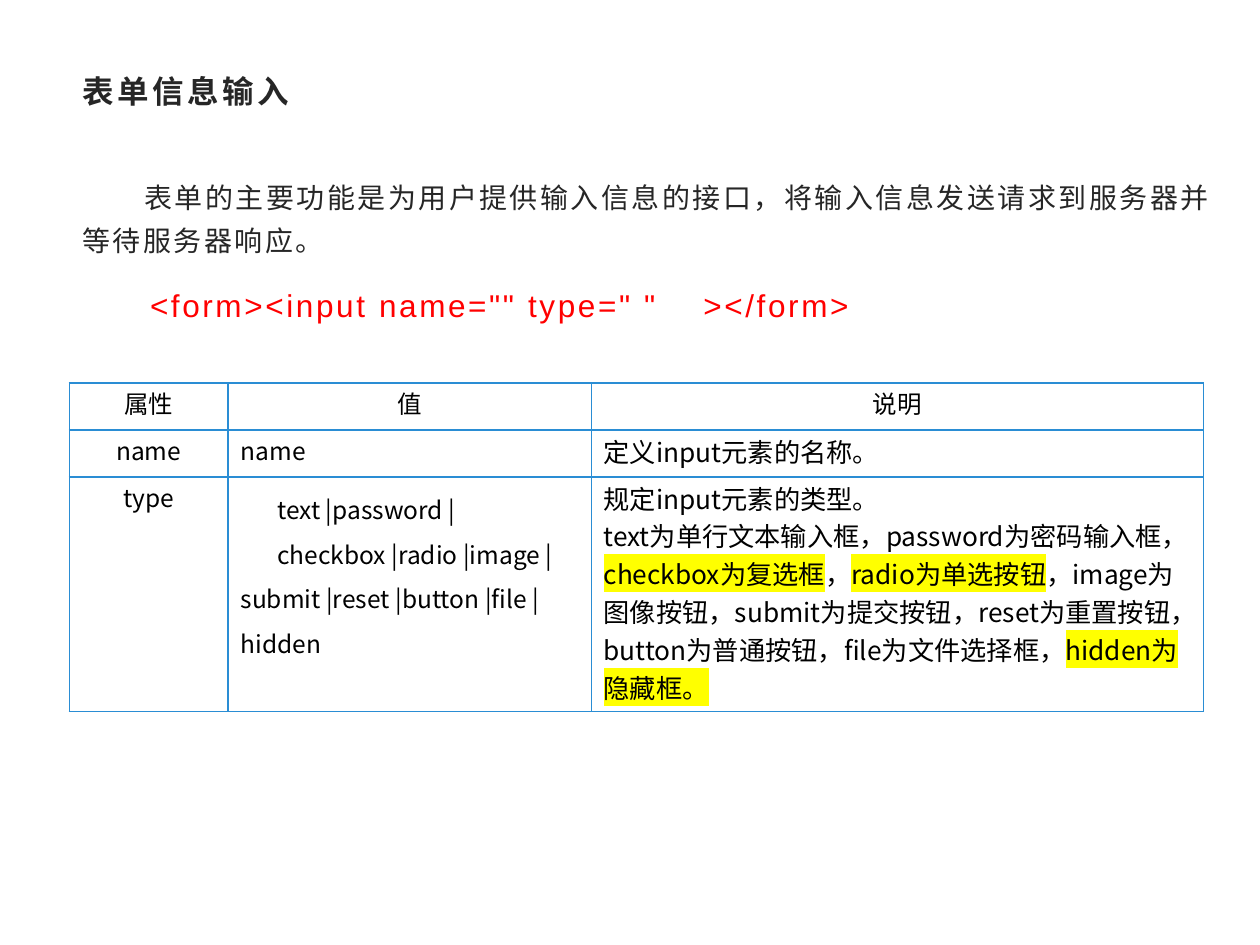
from lxml.etree import SubElement
from pptx import Presentation
from pptx.dml.color import RGBColor
from pptx.enum.text import MSO_ANCHOR, MSO_AUTO_SIZE, PP_ALIGN
from pptx.oxml.ns import qn
from pptx.util import Cm, Pt

BLACK = RGBColor(0x00, 0x00, 0x00)
CHARCOAL = RGBColor(0x26, 0x26, 0x26)
RED = RGBColor(0xFF, 0x00, 0x00)
BLUE = RGBColor(0x2A, 0x8D, 0xD4)
YELLOW = RGBColor(0xFF, 0xFF, 0x00)

LATIN_FONT = "Arial"
CHINESE_FONT = "Noto Sans CJK SC"
LEFT = Cm(1.4)


def add_color(parent, color):
    SubElement(parent, qn("a:srgbClr"), val=str(color))


class FormSlide:
    """Holds the slide and the styles shared by its text and table."""

    def __init__(self, presentation):
        self.slide = presentation.slides.add_slide(presentation.slide_layouts[1])

    def style_run(self, run, size, color, latin=CHINESE_FONT, bold=False,
                  spacing=0, highlight=None):
        font = run.font
        font.size = Pt(size)
        font.bold = bold
        font.color.rgb = color
        font.name = latin
        properties = font._element
        if spacing:
            properties.set("spc", str(int(spacing * 100)))
        SubElement(properties, qn("a:ea"), typeface=CHINESE_FONT)
        if highlight is not None:
            mark = SubElement(properties, qn("a:highlight"))
            add_color(mark, highlight)
            properties.find(qn("a:latin")).addprevious(mark)

    def style_paragraph(self, paragraph, line_spacing=1.0, after=0, indent=0,
                        align=PP_ALIGN.LEFT):
        properties = paragraph._p.get_or_add_pPr()
        properties.set("marL", "0")
        properties.set("indent", str(int(indent)))
        SubElement(properties, qn("a:buNone"))
        paragraph.alignment = align
        paragraph.line_spacing = line_spacing
        paragraph.space_before = Pt(0)
        paragraph.space_after = Pt(after)

    def place(self, shape, top, width, height, anchor):
        shape.left, shape.top, shape.width, shape.height = LEFT, top, width, height
        frame = shape.text_frame
        frame.auto_size = MSO_AUTO_SIZE.NONE
        frame.word_wrap = True
        frame.vertical_anchor = anchor
        return frame

    def title(self, text):
        frame = self.place(self.slide.shapes.title, Cm(1.22), Cm(22.6), Cm(1.22),
                           MSO_ANCHOR.MIDDLE)
        frame.text = text
        paragraph = frame.paragraphs[0]
        self.style_paragraph(paragraph)
        self.style_run(paragraph.runs[0], 18, CHARCOAL, LATIN_FONT, True, 2)

    def body(self, introduction, code):
        frame = self.place(self.slide.placeholders[1], Cm(3.3), Cm(23.65), Cm(3.6),
                           MSO_ANCHOR.TOP)
        frame.text = f"{introduction}\n{code}"
        first, second = frame.paragraphs
        self.style_paragraph(first, 1.3, 10, Cm(1.25))
        self.style_run(first.runs[0], 16, CHARCOAL, spacing=1.5)
        self.style_paragraph(second, 1.3, 10, Cm(1.37))
        self.style_run(second.runs[0], 18, RED, LATIN_FONT, spacing=1.5)

    def table(self, rows, widths, heights):
        frame = self.slide.shapes.add_table(len(heights), len(widths), LEFT, Cm(7.72),
                                            Cm(sum(widths)), Cm(sum(heights)))
        table = frame.table
        table.first_row = table.horz_banding = False
        for column, width in zip(table.columns, widths):
            column.width = Cm(width)
        for row, height in zip(table.rows, heights):
            row.height = Cm(height)
        for row_index, row in enumerate(rows):
            for column_index, paragraphs in enumerate(row):
                self.cell(table.cell(row_index, column_index), paragraphs,
                          row_index, column_index)
        return table

    def cell(self, cell, paragraphs, row_index, column_index):
        """Fill a cell; each paragraph is a list of (text, highlighted) pairs."""
        cell.margin_left = cell.margin_right = Cm(0.25)
        cell.margin_top = cell.margin_bottom = Cm(0.1)
        cell.vertical_anchor = MSO_ANCHOR.TOP
        self.borders(cell)
        cell.fill.background()
        centred = row_index == 0 or column_index == 0
        size = 15 if row_index and column_index == 2 else 14
        value_list = row_index == 2 and column_index == 1
        for index, parts in enumerate(paragraphs):
            frame = cell.text_frame
            paragraph = frame.add_paragraph() if index else frame.paragraphs[0]
            spacing = 1.25 if value_list else 1.0 if index else 0.9
            self.style_paragraph(paragraph, spacing,
                                 indent=Cm(0.74) if value_list else 0,
                                 align=PP_ALIGN.CENTER if centred else PP_ALIGN.LEFT)
            for text, highlighted in parts:
                run = paragraph.add_run()
                run.text = text
                self.style_run(run, size, BLACK,
                               highlight=YELLOW if highlighted else None)

    def borders(self, cell):
        properties = cell._tc.get_or_add_tcPr()
        for side in ("lnL", "lnR", "lnT", "lnB"):
            line = SubElement(properties, qn(f"a:{side}"), w=str(Pt(1)))
            add_color(SubElement(line, qn("a:solidFill")), BLUE)


def plain(*texts):
    return [[(text, False)] for text in texts]


def main():
    presentation = Presentation()
    presentation.slide_width, presentation.slide_height = Cm(25.4), Cm(19.05)
    slide = FormSlide(presentation)
    slide.title("表单信息输入")
    slide.body(
        "表单的主要功能是为用户提供输入信息的接口，将输入信息发送请求到服务器并等待服务器响应。",
        '<form><input name="" type=" "    ></form>',
    )
    type_details = [
        ("text为单行文本输入框，password为密码输入框，", False),
        ("checkbox为复选框", True),
        ("，", False),
        ("radio为单选按钮", True),
        ("，image为图像按钮，submit为提交按钮，reset为重置按钮，"
         "button为普通按钮，file为文件选择框，", False),
        ("hidden为隐藏框。", True),
    ]
    rows = [
        [plain("属性"), plain("值"), plain("说明")],
        [plain("name"), plain("name"), plain("定义input元素的名称。")],
        [plain("type"),
         plain("text |password |",
               "checkbox |radio |image |submit |reset |button |file |hidden"),
         plain("规定input元素的类型。") + [type_details]],
    ]
    slide.table(rows, widths=[3.2, 7.32, 12.34], heights=[0.95, 0.95, 4.57])
    presentation.save("out.pptx")


if __name__ == "__main__":
    main()
